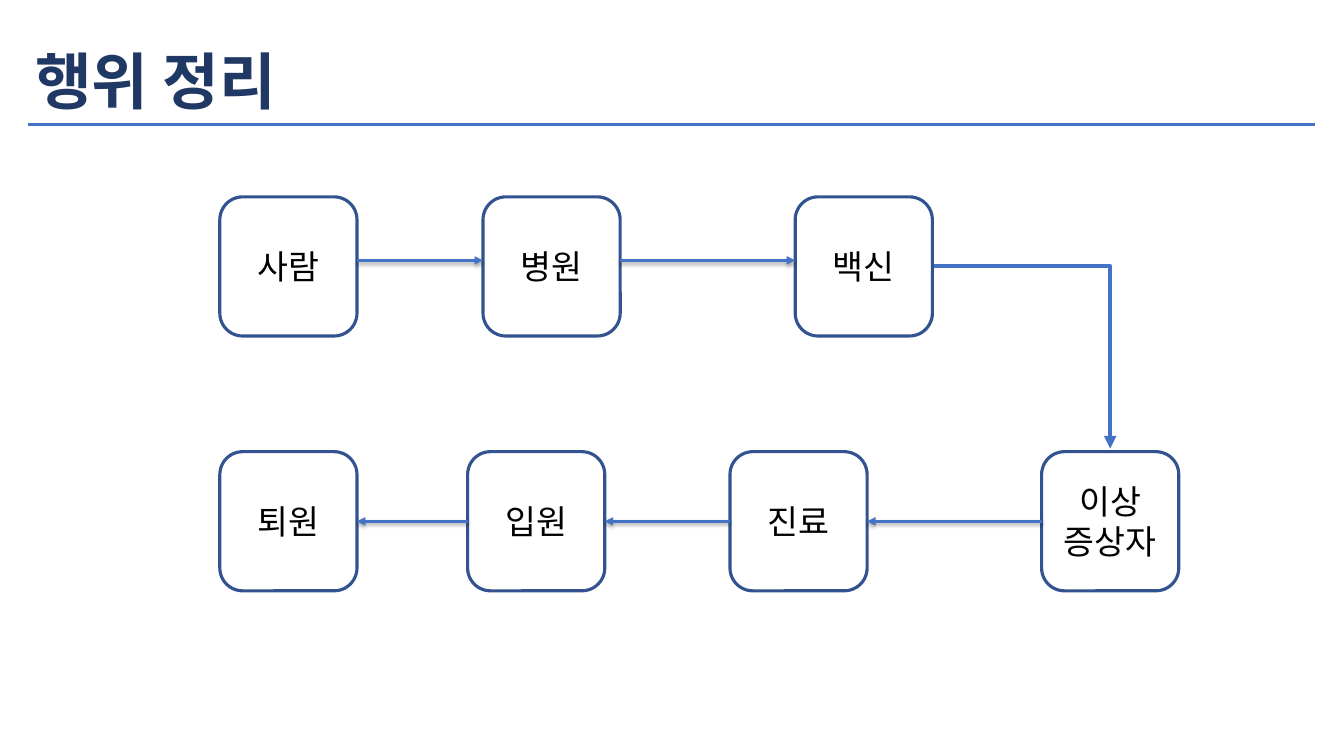
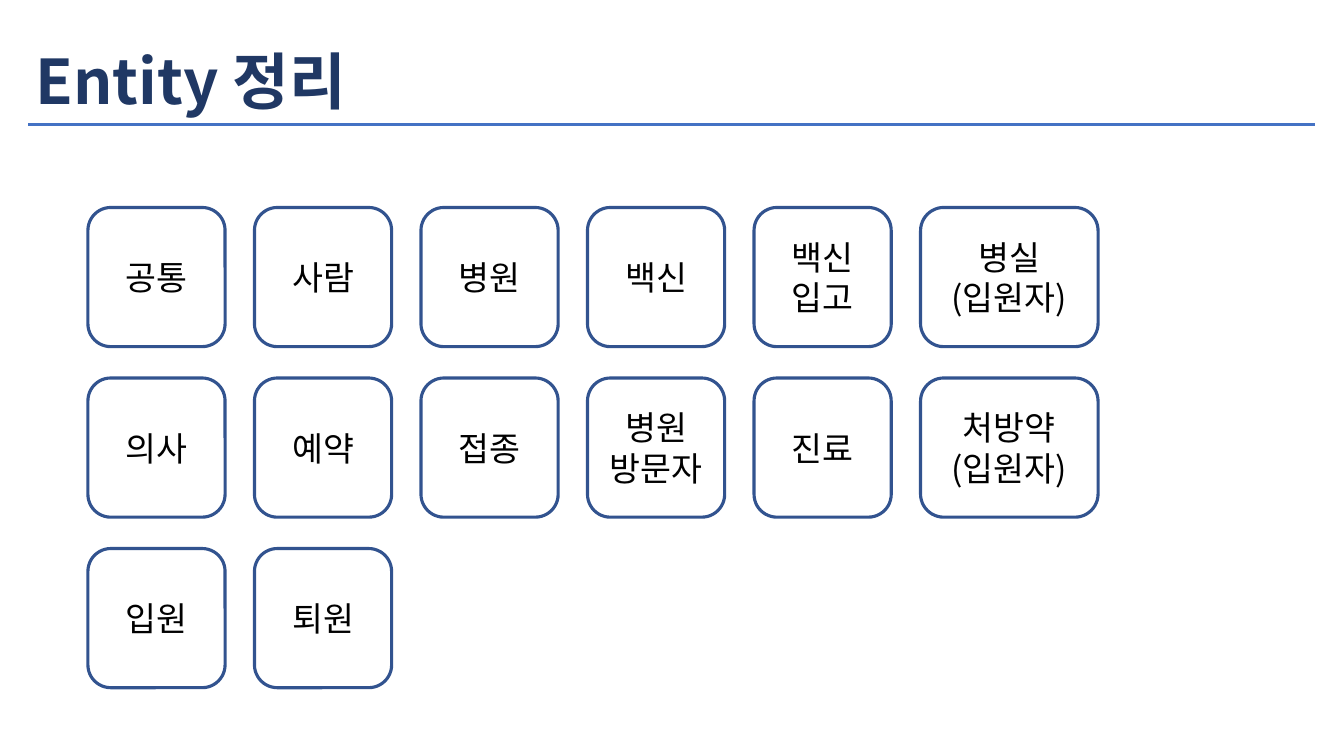
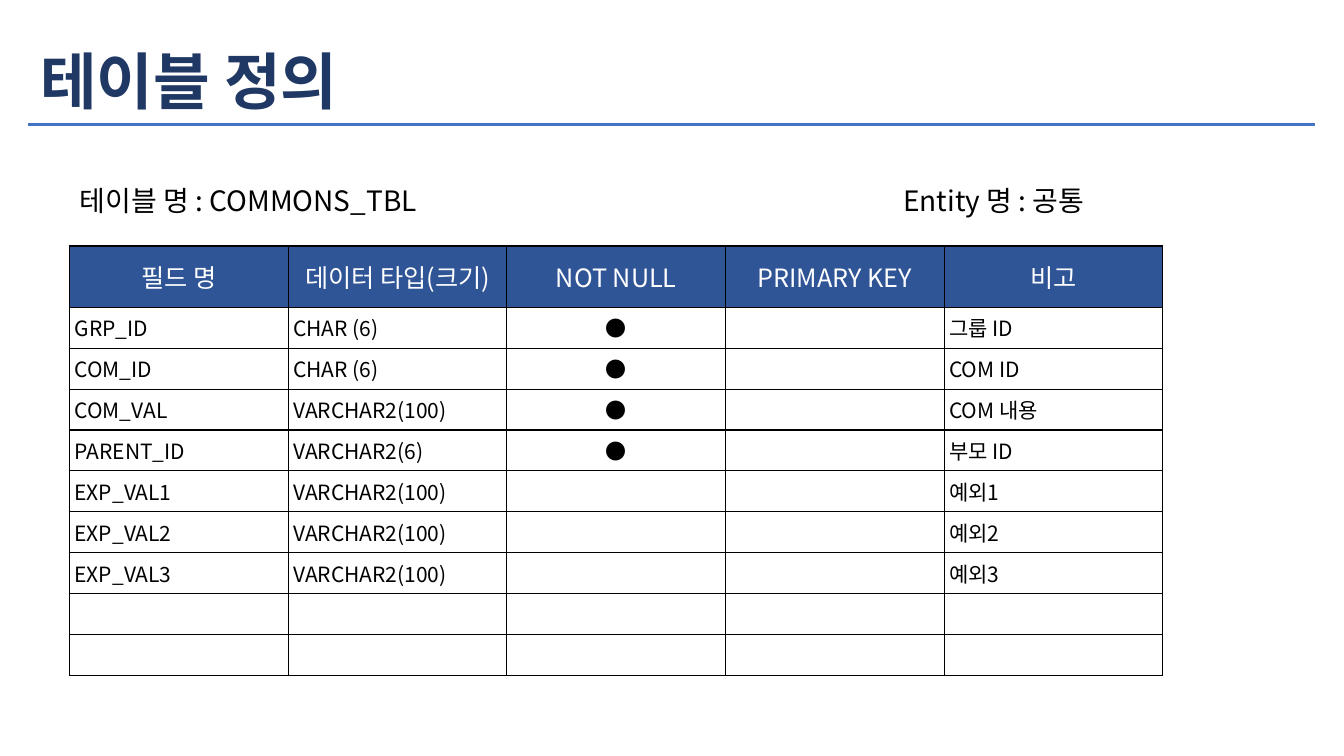
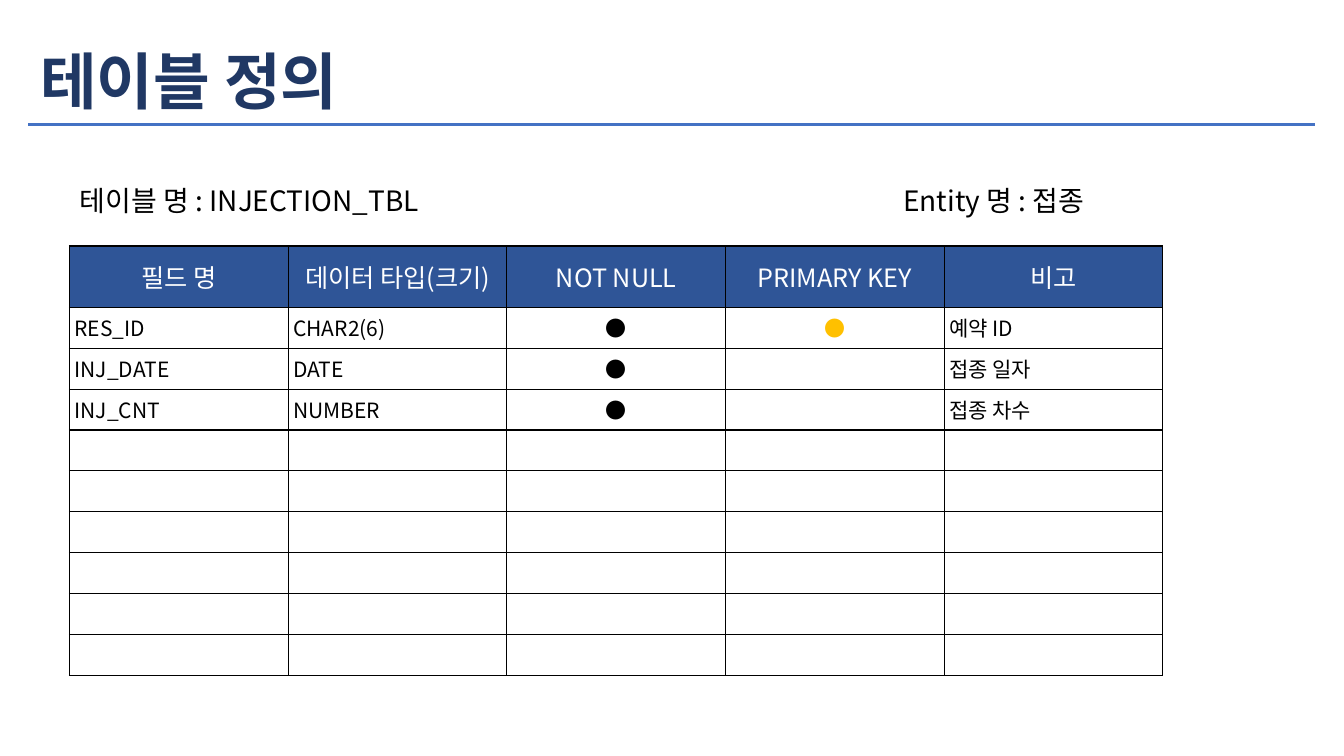
from itertools import pairwise

from lxml.etree import SubElement
from pptx import Presentation
from pptx.dml.color import RGBColor
from pptx.enum.shapes import MSO_CONNECTOR, MSO_SHAPE
from pptx.enum.text import MSO_ANCHOR, PP_ALIGN
from pptx.oxml.ns import qn
from pptx.util import Pt

FONT = "Noto Sans CJK KR"
NAVY, BLUE, EDGE, HEAD = "203864", "4472C4", "32538F", "2F5597"
BLACK, WHITE, GOLD = "000000", "FFFFFF", "FFC000"
SIDE, TALL = 98, 99.4
DOT = "●"
FIELDS = ["필드 명", "데이터 타입(크기)", "NOT NULL", "PRIMARY KEY", "비고"]
ENTITIES = [
    ["공통", "사람", "병원", "백신", "백신\n입고", "병실\n(입원자)"],
    ["의사", "예약", "접종", "병원\n방문자", "진료", "처방약\n(입원자)"],
    ["입원", "퇴원"],
]
COMMONS = [
    ["GRP_ID", "CHAR (6)", DOT, "", "그룹 ID"],
    ["COM_ID", "CHAR (6)", DOT, "", "COM ID"],
    ["COM_VAL", "VARCHAR2(100)", DOT, "", "COM 내용"],
    ["PARENT_ID", "VARCHAR2(6)", DOT, "", "부모 ID"],
    ["EXP_VAL1", "VARCHAR2(100)", "", "", "예외1"],
    ["EXP_VAL2", "VARCHAR2(100)", "", "", "예외2"],
    ["EXP_VAL3", "VARCHAR2(100)", "", "", "예외3"],
]
INJECTION = [
    ["RES_ID", "CHAR2(6)", DOT, DOT, "예약 ID"],
    ["INJ_DATE", "DATE", DOT, "", "접종 일자"],
    ["INJ_CNT", "NUMBER", DOT, "", "접종 차수"],
]


def paint(target, color):
    """Give a fill or a line one solid colour."""
    fill = getattr(target, "fill", target)
    fill.solid()
    fill.fore_color.rgb = RGBColor.from_string(color)


def write(frame, text, size, color=BLACK, bold=False, align=PP_ALIGN.LEFT, space=None):
    """Fill a text frame, one paragraph for each line."""
    frame.text = text
    for para in frame.paragraphs:
        para.alignment = align
        para.line_spacing = space
        font = para.font
        font.size, font.bold, font.name = Pt(size), bold, FONT
        paint(font, color)
        props = para._p.pPr.find(qn("a:defRPr"))
        SubElement(props, qn("a:ea")).set("typeface", FONT)


def inset(frame):
    """Set equal narrow margins and centre the text by height."""
    frame.margin_left = frame.margin_right = Pt(3.6)
    frame.margin_top = frame.margin_bottom = Pt(3.6)
    frame.vertical_anchor = MSO_ANCHOR.MIDDLE


def label(slide, box, text, size, color=BLACK, bold=False):
    """Place a left-aligned line of text."""
    frame = slide.shapes.add_textbox(*map(Pt, box)).text_frame
    frame.word_wrap = True
    inset(frame)
    write(frame, text, size, color, bold, space=0.9)


def start(deck, title, left=21.6):
    """Add a slide with its title and the rule below it."""
    slide = deck.slides.add_slide(deck.slide_layouts[6])
    label(slide, (left, 23, 820, 75), title, 44, NAVY, True)
    rule = slide.shapes.add_shape(MSO_SHAPE.RECTANGLE, Pt(19.4), Pt(87.1), Pt(920.2), Pt(3.6))
    rule.shadow.inherit = False
    paint(rule, BLUE)
    paint(rule.line, WHITE)
    rule.line.width = Pt(1)
    return slide


def node(slide, left, top, text, width=SIDE):
    """Place a rounded box with centred text."""
    box = slide.shapes.add_shape(
        MSO_SHAPE.ROUNDED_RECTANGLE, Pt(left), Pt(top), Pt(width), Pt(TALL))
    box.shadow.inherit = False
    box.fill.background()
    paint(box.line, EDGE)
    box.line.width = Pt(2.25)
    inset(box.text_frame)
    write(box.text_frame, text, 24, align=PP_ALIGN.CENTER)


def point(shape, width):
    """Style a line and put an arrowhead at its end."""
    paint(shape.line, BLUE)
    shape.line.width = Pt(width)
    SubElement(shape.line._get_or_add_ln(), qn("a:tailEnd")).set("type", "triangle")


def arrow(slide, first, last, level):
    """Draw a level arrow with a soft shadow."""
    line = slide.shapes.add_connector(
        MSO_CONNECTOR.STRAIGHT, Pt(first), Pt(level), Pt(last), Pt(level))
    point(line, 2)
    effects = SubElement(line._element.spPr, qn("a:effectLst"))
    shade = SubElement(effects, qn("a:outerShdw"), blurRad=str(Pt(3)),
                       dist=str(Pt(1.6)), dir="5400000", rotWithShape="0")
    tone = SubElement(shade, qn("a:srgbClr"), val=BLACK)
    SubElement(tone, qn("a:alpha"), val="38000")


def bend(slide, left, top, right, bottom):
    """Draw an arrow that goes right and then down."""
    pen = slide.shapes.build_freeform(Pt(left), Pt(top))
    pen.add_line_segments([(Pt(right), Pt(top)), (Pt(right), Pt(bottom))], close=False)
    path = pen.convert_to_shape()
    path.shadow.inherit = False
    path.fill.background()
    point(path, 3)


def flow(deck):
    """Build the slide of actions in their order."""
    slide = start(deck, "행위 정리")
    upper = [(157, "사람"), (345, "병원"), (568, "백신")]
    lower = [(744, "이상\n증상자"), (521.4, "진료"), (334, "입원"), (157, "퇴원")]
    for row, top, level in ((upper, 140.6, 186), (lower, 322.6, 372.4)):
        for left, text in row:
            node(slide, left, top, text)
        for (here, _), (there, _) in pairwise(row):
            ends = (here + SIDE, there) if here < there else (here, there + SIDE)
            arrow(slide, *ends, level)
    bend(slide, upper[-1][0] + SIDE + 1, 190.2, lower[0][0] + SIDE / 2, 320.4)


def grid(deck):
    """Build the slide of entities."""
    slide = start(deck, "Entity 정리")
    for row, names in enumerate(ENTITIES):
        for col, name in enumerate(names):
            width = 126.8 if col == 5 else SIDE
            node(slide, 62.8 + 118.95 * col, 148.2 + 121.8 * row, name, width)


def border(cell):
    """Draw thin black lines around a cell."""
    props = cell._tc.get_or_add_tcPr()
    for place, side in enumerate(("lnL", "lnR", "lnT", "lnB")):
        line = props.makeelement(qn(f"a:{side}"), {"w": str(Pt(1))})
        props.insert(place, line)
        fill = SubElement(line, qn("a:solidFill"))
        SubElement(fill, qn("a:srgbClr"), val=BLACK)


def schema(deck, name, entity, rows, width):
    """Build a slide that defines one table."""
    slide = start(deck, "테이블 정의", 25.2)
    table = slide.shapes.add_table(10, 5, Pt(49.7), Pt(175.7), Pt(781), Pt(306.7)).table
    table.first_row = table.horz_banding = False
    for col in table.columns:
        col.width = Pt(156.2)
    for index, row in enumerate(table.rows):
        row.height = Pt(29.2 if index else 43.9)
        texts = ([FIELDS] + rows)[index] if index <= len(rows) else [""] * 5
        for col, (cell, text) in enumerate(zip(row.cells, texts)):
            inset(cell)
            border(cell)
            if index == 0:
                paint(cell, HEAD)
                write(cell.text_frame, text, 18, WHITE, align=PP_ALIGN.CENTER)
            else:
                cell.vertical_anchor = MSO_ANCHOR.TOP
                cell.fill.background()
                align = PP_ALIGN.CENTER if col in (2, 3) else PP_ALIGN.LEFT
                write(cell.text_frame, text, 15, GOLD if col == 3 else BLACK, align=align)
    label(slide, (53.3, 126, width, 36.7), f"테이블 명 : {name}", 20)
    label(slide, (641.5, 126, 315.4, 36.7), f"Entity 명 : {entity}", 20)


def main():
    """Build the deck and save it."""
    deck = Presentation()
    deck.slide_width, deck.slide_height = Pt(960), Pt(540)
    flow(deck)
    grid(deck)
    schema(deck, "COMMONS_TBL", "공통", COMMONS, 546.5)
    schema(deck, "INJECTION_TBL", "접종", INJECTION, 315.4)
    deck.save("out.pptx")


if __name__ == "__main__":
    main()
